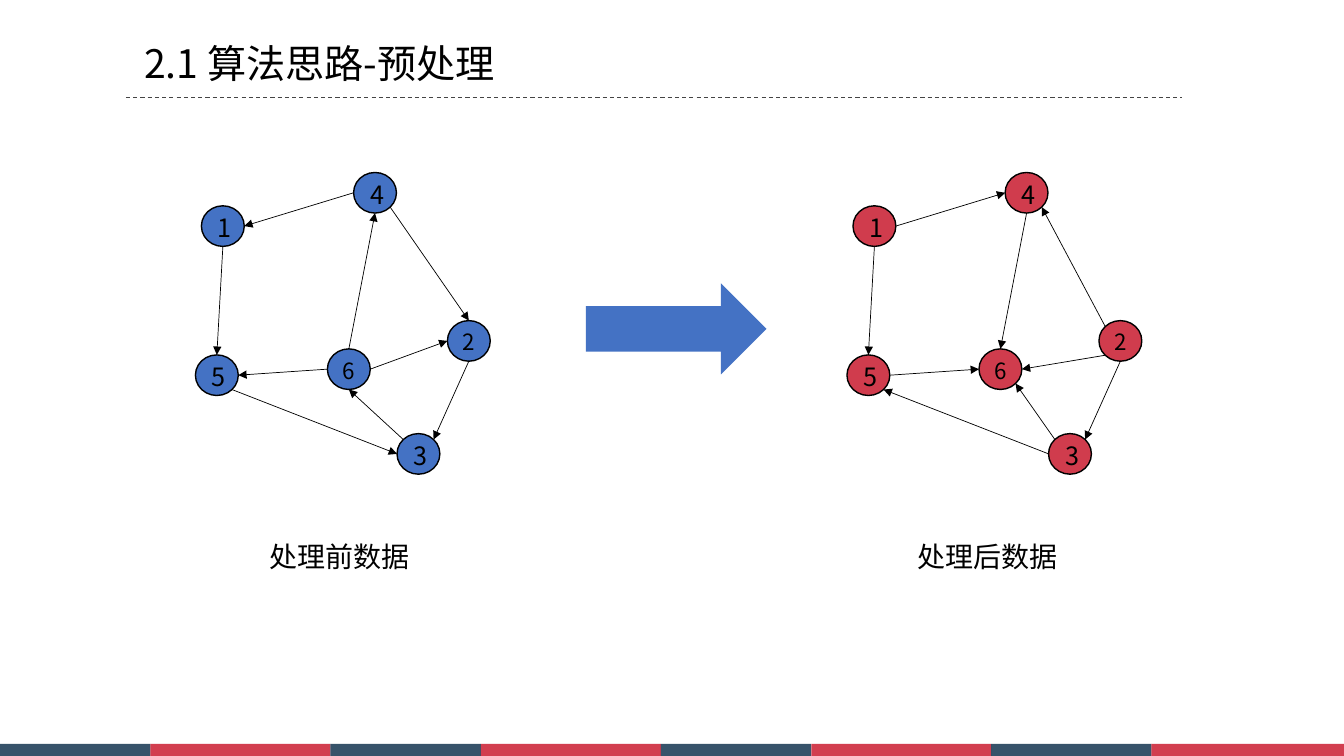
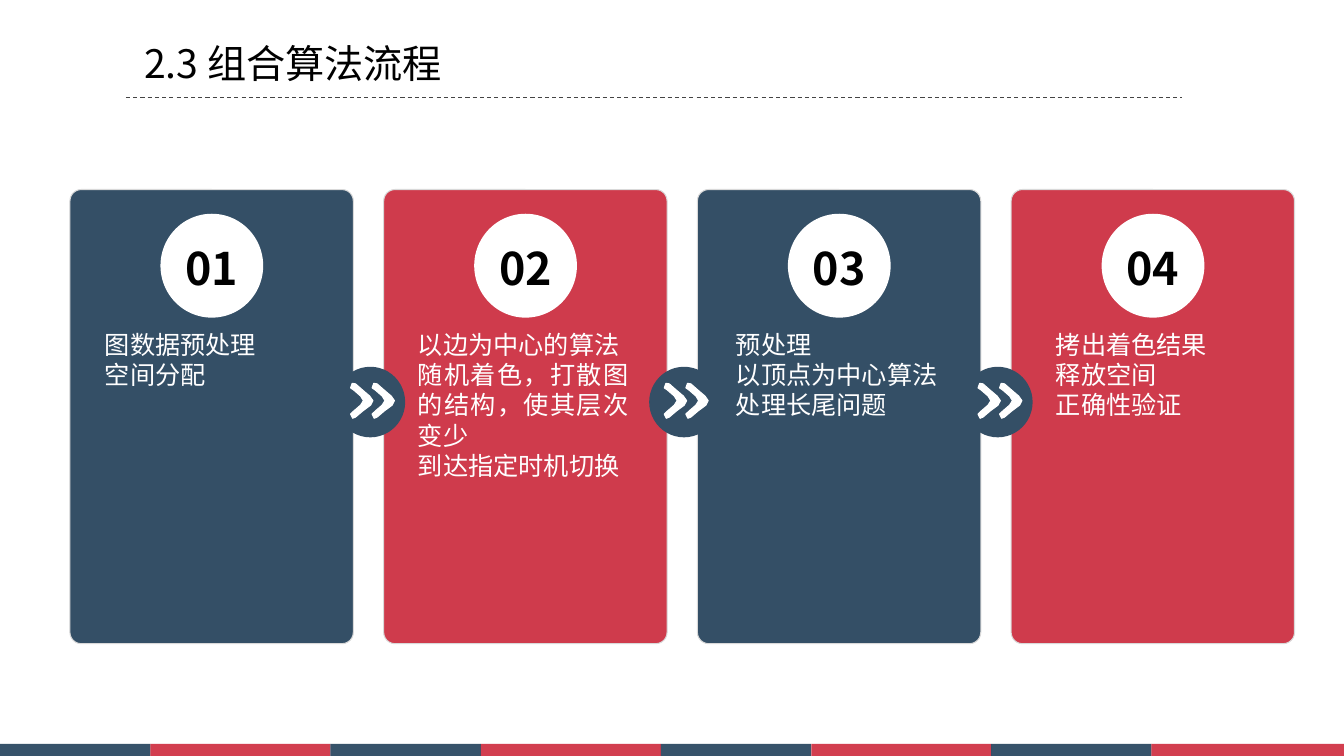
import math
from dataclasses import dataclass

import lxml.etree
import pptx
import pptx.dml.color
import pptx.enum.dml
import pptx.enum.shapes
import pptx.enum.text
import pptx.oxml.ns
import pptx.util

Pt = pptx.util.Pt
SHAPE = pptx.enum.shapes.MSO_SHAPE
ALIGN = pptx.enum.text.PP_ALIGN
ANCHOR = pptx.enum.text.MSO_ANCHOR
qn = pptx.oxml.ns.qn


@dataclass(frozen=True)
class Theme:
    """Colours and type sizes shared by the slides."""
    font: str = "Noto Sans CJK SC"
    black: str = "000000"
    white: str = "FFFFFF"
    rule: str = "444444"
    card_edge: str = "D9D9D9"
    blue: str = "4472C4"
    red: str = "D03C4D"
    card_navy: str = "344F66"
    card_red: str = "CF3B4C"
    band_navy: str = "062845"
    band_red: str = "C70E23"
    band_opacity: int = 80
    title_size: int = 28
    caption_size: int = 20
    body_size: int = 18
    number_size: int = 32


THEME = Theme()
BAND_WIDTHS = [107.5, 128.5] * 3 + [114.5, 137.5]
NODE_WIDTH, NODE_HEIGHT = 30.6, 29
NODES = {
    "3": (144, 186.5, 18), "4": (113, 0, 18), "1": (4.3, 23.8, 18),
    "5": (0, 130.3, 18), "6": (94.3, 126, 16), "2": (180, 105.8, 16),
}
COMPASS = {"E": 0, "SE": 45, "S": 90, "SW": 135, "W": 180, "NW": 225, "N": 270, "NE": 315}
EDGES_BEFORE = [
    ("4", "W", "1", "E"), ("1", "S", "5", "N"), ("4", "SE", "2", "N"),
    ("6", "E", "2", "W"), ("3", "NW", "6", "S"), ("5", "SE", "3", "W"),
    ("6", "N", "4", "S"), ("2", "S", "3", "NE"), ("6", "W", "5", "E"),
]
EDGES_AFTER = [
    ("1", "E", "4", "W"), ("2", "NW", "4", "SE"), ("4", "S", "6", "N"),
    ("2", "SW", "6", "E"), ("2", "S", "3", "NE"), ("3", "NW", "6", "SE"),
    ("3", "W", "5", "SE"), ("5", "E", "6", "W"), ("1", "S", "5", "N"),
]
CHEVRON = [
    (14.4, 16.6), (8.6, 20.9), (3.6, 25.2), (1.5, 26), (0, 23), (2.2, 20.9),
    (7.2, 16.6), (9.2, 13.4), (7.2, 10.1), (2.2, 5.8), (0, 4.3), (1.2, 1),
    (3.6, 1.4), (8.6, 5.8), (13.7, 10.1), (16, 13.4),
]
STEPS = [
    (THEME.card_navy, 25, ["图数据预处理", "空间分配"]),
    (THEME.card_red, 24.5, ["以边为中心的算法", "随机着色，打散图的结构，使其层次变少", "到达指定时机切换"]),
    (THEME.card_navy, 27.5, ["预处理", "以顶点为中心算法", "处理长尾问题"]),
    (THEME.card_red, 32, ["拷出着色结果", "释放空间", "正确性验证"]),
]


def rgb(value):
    """Return a colour object for a hexadecimal value."""
    return pptx.dml.color.RGBColor.from_string(value)


def paint(shape, fill, line=None, width=0):
    """Give a shape a flat fill and an optional outline."""
    shape.shadow.inherit = False
    shape.fill.solid()
    shape.fill.fore_color.rgb = rgb(fill)
    if line is None:
        shape.line.fill.background()
    else:
        shape.line.color.rgb = rgb(line)
        shape.line.width = Pt(width)


def add_block(slide, kind, box, fill, line=None, width=0):
    """Add a painted preset shape in a box given in points."""
    shape = slide.shapes.add_shape(kind, *map(Pt, box))
    paint(shape, fill, line, width)
    return shape


def write(shape, lines, size, color=THEME.black, align=ALIGN.LEFT,
          anchor=ANCHOR.TOP, wrap=True, bold=False, left=0):
    """Write one paragraph per line with fixed line spacing."""
    frame = shape.text_frame
    frame_format = {
        "margin_left": Pt(left), "margin_right": 0, "margin_top": Pt(size * 0.1),
        "margin_bottom": 0, "vertical_anchor": anchor, "word_wrap": wrap,
    }
    for name, value in frame_format.items():
        setattr(frame, name, value)
    for index, line in enumerate(lines):
        paragraph = frame.add_paragraph() if index else frame.paragraphs[0]
        paragraph.alignment = align
        paragraph.line_spacing = Pt(size * 1.2)
        run = paragraph.add_run()
        run.text = line
        for name, value in {"name": THEME.font, "size": Pt(size), "bold": bold}.items():
            setattr(run.font, name, value)
        run.font.color.rgb = rgb(color)
        east_asian = lxml.etree.Element(qn("a:ea"), typeface=THEME.font)
        run.font._element.find(qn("a:latin")).addnext(east_asian)


def add_text(slide, box, lines, size, **text_format):
    """Add a text box in a box given in points."""
    write(slide.shapes.add_textbox(*map(Pt, box)), lines, size, **text_format)


def add_line(slide, start, end, color, width):
    """Add a straight connector without a shadow."""
    connector = slide.shapes.add_connector(
        pptx.enum.shapes.MSO_CONNECTOR.STRAIGHT, *map(Pt, (*start, *end)))
    connector.line.color.rgb = rgb(color)
    connector.line.width = Pt(width)
    lxml.etree.SubElement(connector._element.spPr, qn("a:effectLst"))
    return connector


def add_frame(slide, title):
    """Add the title, the dashed rule and the footer band."""
    left = 0
    for index, width in enumerate(BAND_WIDTHS):
        color = THEME.band_red if index % 2 else THEME.band_navy
        block = add_block(slide, SHAPE.RECTANGLE, (left, 531.4, width, 8.6), color)
        fill_color = block._element.spPr.find(qn("a:solidFill"))[0]
        lxml.etree.SubElement(fill_color, qn("a:alpha"), val=str(THEME.band_opacity * 1000))
        left += width
    rule = add_line(slide, (90, 69.6), (844, 69.6), THEME.rule, 0.75)
    rule.line.dash_style = pptx.enum.dml.MSO_LINE.DASH
    add_text(slide, (103, 25.2, 420, 33.8), [title], THEME.title_size)


def add_graph(slide, left, top, color, edges, caption, caption_left):
    """Draw a directed graph and its caption from a top left corner."""
    for label, (x, y, size) in NODES.items():
        node = add_block(slide, SHAPE.OVAL, (left + x, top + y, NODE_WIDTH, NODE_HEIGHT),
                         color, THEME.black, 1)
        write(node, [label], size, align=ALIGN.CENTER, anchor=ANCHOR.MIDDLE,
              wrap=False, left=3 if size == 18 else 0)

    def site(label, direction):
        """Return the point of a node that faces a compass direction."""
        x, y, _ = NODES[label]
        angle = math.radians(COMPASS[direction])
        return (left + x + NODE_WIDTH / 2 * (1 + math.cos(angle)),
                top + y + NODE_HEIGHT / 2 * (1 + math.sin(angle)))

    for source, source_side, target, target_side in edges:
        edge = add_line(slide, site(source, source_side), site(target, target_side),
                        THEME.black, 0.5)
        lxml.etree.SubElement(edge.line._get_or_add_ln(), qn("a:tailEnd"), type="triangle")
    add_text(slide, (left + caption_left, top + 260, 101, 24), [caption],
             THEME.caption_size, wrap=False)


def add_step(slide, left, top, number, color, indent, lines):
    """Draw one numbered card of the process."""
    card = add_block(slide, SHAPE.ROUNDED_RECTANGLE, (left, top, 202.4, 324.4),
                     color, THEME.card_edge)
    card.adjustments[0] = 0.04
    circle = add_block(slide, SHAPE.OVAL, (left + 64.6, top + 17.3, 73.4, 74.2), THEME.white)
    write(circle, [f"{number:02d}"], THEME.number_size, align=ALIGN.CENTER,
          anchor=ANCHOR.MIDDLE, wrap=False, bold=True)
    add_text(slide, (left + indent, top + 98, 150.4, len(lines) * 21.6), lines,
             THEME.body_size, color=THEME.white, align=ALIGN.JUSTIFY)


def add_badge(slide, left, top):
    """Draw a round badge with a double chevron."""
    add_block(slide, SHAPE.OVAL, (left, top, 49.8, 50.4), THEME.card_navy)
    points = [(x * 10, y * 10) for x, y in CHEVRON]
    for offset in (10.8, 26.2):
        builder = slide.shapes.build_freeform(*points[0], scale=1270)
        builder.add_line_segments(points[1:], close=True)
        chevron = builder.convert_to_shape(Pt(left + offset), Pt(top + 10.8))
        paint(chevron, THEME.white, THEME.white, 0.75)


def build_preprocessing(slide):
    """Build the slide comparing the graph before and after."""
    add_frame(slide, "2.1 算法思路-预处理")
    add_graph(slide, 139.6, 123.2, THEME.blue, EDGES_BEFORE, "处理前数据", 53)
    add_graph(slide, 605, 123.2, THEME.red, EDGES_AFTER, "处理后数据", 50.4)
    add_block(slide, SHAPE.RIGHT_ARROW, (418.5, 202.4, 129, 65), THEME.blue)


def build_process(slide):
    """Build the slide with the four steps of the algorithm."""
    add_frame(slide, "2.3 组合算法流程")
    left, top, pitch = 50, 135.4, 224.1
    for index, (color, indent, lines) in enumerate(STEPS):
        add_step(slide, left + index * pitch, top, index + 1, color, indent, lines)
    for index in range(len(STEPS) - 1):
        add_badge(slide, left + 189.6 + index * pitch, top + 126.6)


def main():
    """Create the presentation and save it."""
    presentation = pptx.Presentation()
    presentation.slide_width, presentation.slide_height = Pt(960), Pt(540)
    for build in (build_preprocessing, build_process):
        build(presentation.slides.add_slide(presentation.slide_layouts[6]))
    presentation.save("out.pptx")


if __name__ == "__main__":
    main()
